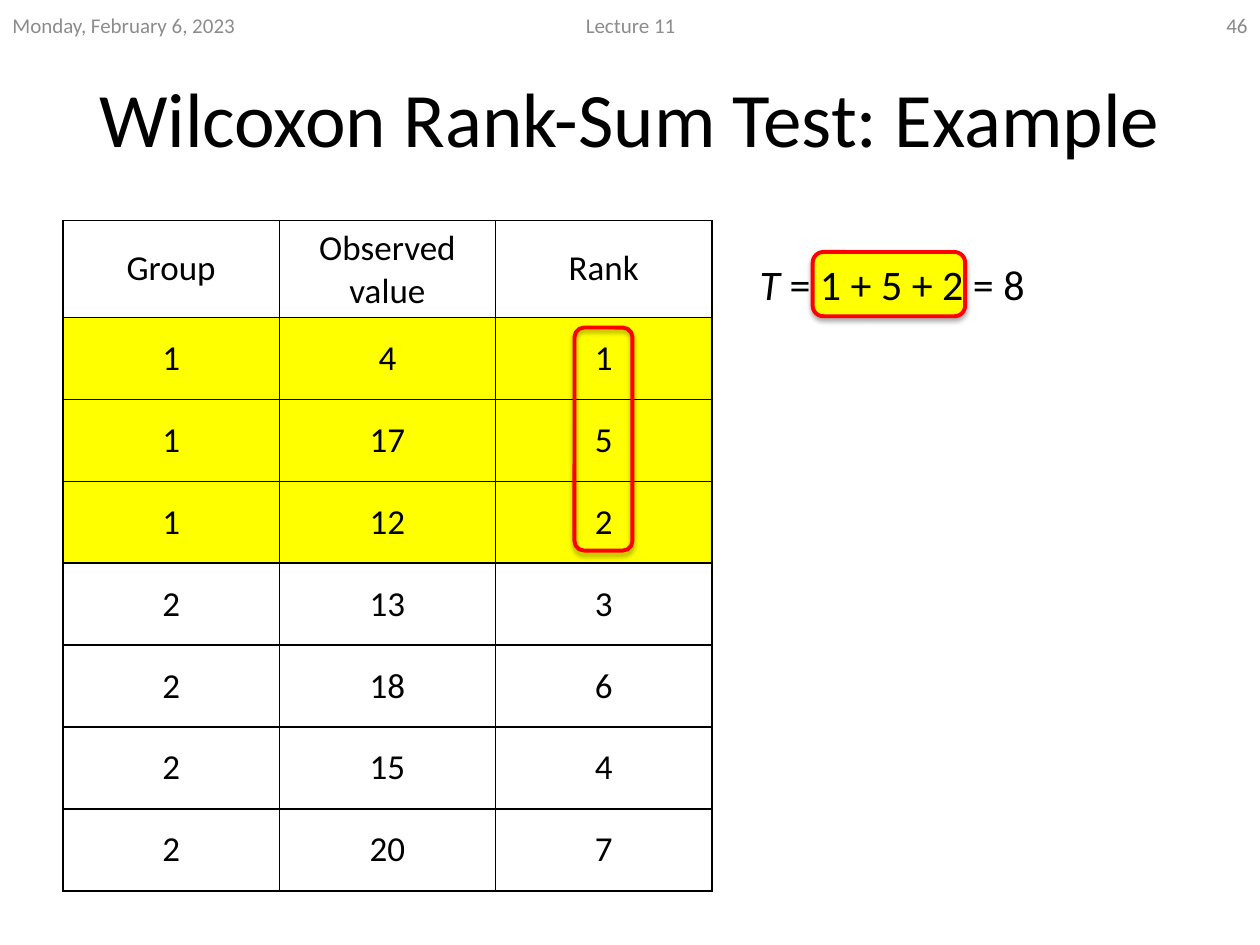
"""Build the Wilcoxon rank-sum example slide with its table of ranks."""
from dataclasses import dataclass
from typing import Optional

import pptx
import pptx.dml.color
import pptx.enum.shapes
import pptx.enum.text
import pptx.oxml
import pptx.oxml.ns
import pptx.util

Inches = pptx.util.Inches
Pt = pptx.util.Pt
ALIGN = pptx.enum.text.PP_ALIGN
MIDDLE = pptx.enum.text.MSO_ANCHOR.MIDDLE


@dataclass(frozen=True)
class Theme:
    font: str = "Calibri"
    ink: str = "000000"
    muted: str = "8C8C8C"
    page_number: str = "898989"
    highlight: str = "FFFF00"
    outline: str = "FF0000"
    title_size: int = 44
    formula_size: int = 24
    cell_size: int = 20
    header_size: int = 12


@dataclass(frozen=True)
class Box:
    left: float
    top: float
    width: float
    height: float

    def lengths(self) -> tuple:
        return tuple(Inches(v) for v in (self.left, self.top, self.width, self.height))


@dataclass(frozen=True)
class Label:
    text: str
    box: Box
    align: ALIGN
    color: str


@dataclass(frozen=True)
class Marker:
    box: Box
    fill: Optional[str] = None


THEME = Theme()
TITLE_BOX = Box(0.5, 0.3, 9, 1.25)
FORMULA_BOX = Box(5.93, 2, 3.57, 0.51)
TABLE_BOX = Box(0.5, 1.75, 5.15, 5.32)
HEADER_ROW, DATA_ROW = 0.77, 0.65
SUM_MARKER = Marker(Box(6.45, 2, 1.21, 0.51), THEME.highlight)
RANK_MARKER = Marker(Box(4.56, 2.6, 0.46, 1.77))
PAGE_LABELS = (
    Label("Monday, February 6, 2023", Box(0, 0, 2.33, 0.4), ALIGN.LEFT, THEME.muted),
    Label("Lecture 11", Box(3.42, 0, 3.17, 0.4), ALIGN.CENTER, THEME.muted),
    Label("46", Box(7.67, 0, 2.33, 0.4), ALIGN.RIGHT, THEME.page_number),
)
HEADINGS = ("Group", "Observed value", "Rank")
OBSERVATIONS = ((1, 4, 1), (1, 17, 5), (1, 12, 2), (2, 13, 3),
                (2, 18, 6), (2, 15, 4), (2, 20, 7))
HIGHLIGHTED_GROUP = 1


def rgb(value: str) -> pptx.dml.color.RGBColor:
    return pptx.dml.color.RGBColor.from_string(value)


def write(paragraph, text: str, *, size: int, color: str = THEME.ink,
          align: ALIGN = ALIGN.LEFT, italic: bool = False) -> None:
    paragraph.alignment = align
    run = paragraph.add_run()
    run.text = text
    run.font.name = THEME.font
    run.font.size = Pt(size)
    run.font.bold = False
    run.font.italic = italic
    run.font.color.rgb = rgb(color)


def add_frame(slide, box: Box):
    frame = slide.shapes.add_textbox(*box.lengths()).text_frame
    frame.word_wrap = True
    return frame


def draw_title(slide, text: str) -> None:
    title = slide.shapes.title
    title.left, title.top, title.width, title.height = TITLE_BOX.lengths()
    title.text_frame.vertical_anchor = MIDDLE
    write(title.text_frame.paragraphs[0], text, size=THEME.title_size, align=ALIGN.CENTER)


def draw_label(slide, label: Label) -> None:
    frame = add_frame(slide, label.box)
    frame.vertical_anchor = MIDDLE
    write(frame.paragraphs[0], label.text, size=THEME.header_size,
          color=label.color, align=label.align)


def draw_formula(slide) -> None:
    paragraph = add_frame(slide, FORMULA_BOX).paragraphs[0]
    write(paragraph, "T", size=THEME.formula_size, italic=True)
    write(paragraph, " = 1 + 5 + 2 = 8", size=THEME.formula_size)


def draw_marker(slide, marker: Marker) -> None:
    outline = slide.shapes.add_shape(
        pptx.enum.shapes.MSO_SHAPE.ROUNDED_RECTANGLE, *marker.box.lengths())
    if marker.fill:
        outline.fill.solid()
        outline.fill.fore_color.rgb = rgb(marker.fill)
    else:
        outline.fill.background()
    outline.line.color.rgb = rgb(THEME.outline)
    outline.line.width = Pt(2.25)
    outline.shadow.inherit = False
    effects = outline._element.spPr.find(pptx.oxml.ns.qn("a:effectLst"))
    effects.append(pptx.oxml.parse_xml(
        f'<a:outerShdw {pptx.oxml.ns.nsdecls("a")} blurRad="{Pt(3.1)}" dist="{Pt(1.8)}" '
        'dir="5400000" rotWithShape="0"><a:srgbClr val="000000">'
        '<a:alpha val="35000"/></a:srgbClr></a:outerShdw>'))


def add_borders(cell) -> None:
    properties = cell._tc.get_or_add_tcPr()
    for position, side in enumerate(("lnL", "lnR", "lnT", "lnB")):
        properties.insert(position, pptx.oxml.parse_xml(
            f'<a:{side} {pptx.oxml.ns.nsdecls("a")} w="{Pt(1)}"><a:solidFill>'
            f'<a:srgbClr val="{THEME.ink}"/></a:solidFill></a:{side}>'))


def draw_cell(cell, text: str, highlighted: bool) -> None:
    cell.vertical_anchor = MIDDLE
    if highlighted:
        cell.fill.solid()
        cell.fill.fore_color.rgb = rgb(THEME.highlight)
    else:
        cell.fill.background()
    add_borders(cell)
    write(cell.text_frame.paragraphs[0], text, size=THEME.cell_size, align=ALIGN.CENTER)


def draw_table(slide) -> None:
    rows = (HEADINGS, *OBSERVATIONS)
    table = slide.shapes.add_table(len(rows), len(HEADINGS), *TABLE_BOX.lengths()).table
    for column in table.columns:
        column.width = Inches(TABLE_BOX.width / len(HEADINGS))
    for r, values in enumerate(rows):
        table.rows[r].height = Inches(DATA_ROW if r else HEADER_ROW)
        for c, value in enumerate(values):
            draw_cell(table.cell(r, c), str(value), values[0] == HIGHLIGHTED_GROUP)


def main() -> None:
    presentation = pptx.Presentation()
    presentation.slide_width, presentation.slide_height = Inches(10), Inches(7.5)
    slide = presentation.slides.add_slide(presentation.slide_layouts.get_by_name("Title Only"))
    draw_title(slide, "Wilcoxon Rank-Sum Test: Example")
    draw_marker(slide, SUM_MARKER)
    draw_formula(slide)
    draw_table(slide)
    for label in PAGE_LABELS:
        draw_label(slide, label)
    draw_marker(slide, RANK_MARKER)
    presentation.save("out.pptx")


if __name__ == "__main__":
    main()
